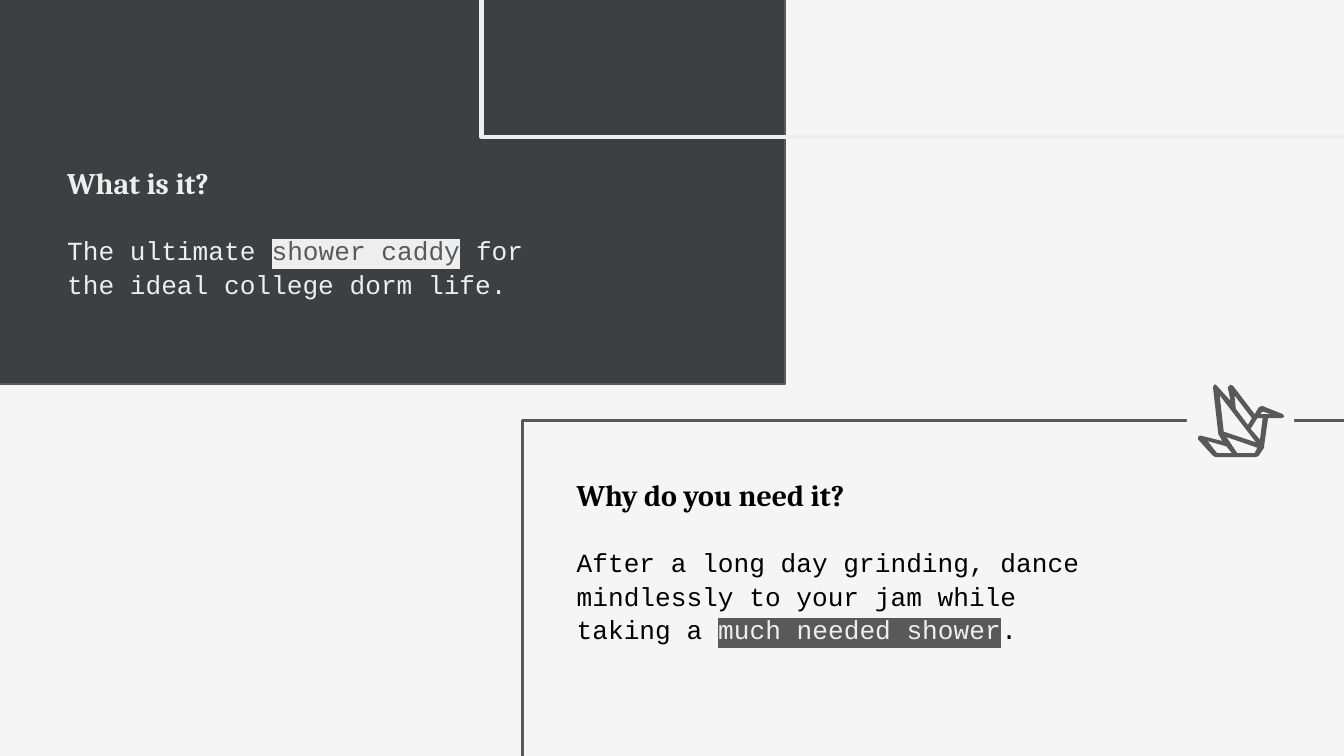
from lxml import etree
from pptx import Presentation
from pptx.dml.color import RGBColor
from pptx.enum.shapes import MSO_SHAPE
from pptx.enum.text import MSO_AUTO_SIZE, PP_ALIGN
from pptx.oxml.ns import qn
from pptx.util import Cm, Pt

RECTANGLE = MSO_SHAPE.RECTANGLE
FIT_SHAPE = MSO_AUTO_SIZE.SHAPE_TO_FIT_TEXT
LEFT = PP_ALIGN.LEFT

PAPER = RGBColor(0xF5, 0xF5, 0xF5)
LIGHT = RGBColor(0xEE, 0xEE, 0xEE)
GREY = RGBColor(0x59, 0x59, 0x59)
SLATE = RGBColor(0x3C, 0x40, 0x43)
BLACK = RGBColor(0, 0, 0)

HEADING_FONT = "Cambria"
BODY_FONT = "Courier New"

BIRD_SIZE = (65, 54)
BIRD_CONTOURS = [
    [(49, 20), (55, 22), (47, 22)],
    [(28, 8), (41, 25), (38, 30), (29, 18)],
    [(49, 25), (47, 41), (40, 33), (45, 25)],
    [(17, 8), (44, 43), (20, 35)],
    [(8, 42), (22, 46), (26, 51), (15, 51)],
    [(22, 39), (45, 47), (43, 51), (30, 51)],
    [(14, 0), (13, 0), (12, 2), (16, 37), (19, 42), (3, 38), (2, 38),
     (1, 39), (1, 41), (12, 53), (14, 54), (44, 54), (46, 53), (50, 47),
     (50, 46), (53, 25), (63, 25), (65, 24), (64, 22), (49, 16), (48, 16),
     (46, 17), (43, 22), (27, 1), (25, 0), (23, 2), (25, 12), (15, 1)],
]


def add_rectangle(slide, box, fill=None, line=None, width=0):
    """Add a rectangle with an optional fill and outline."""
    shape = slide.shapes.add_shape(RECTANGLE, *box)
    shape.shadow.inherit = False
    if fill is None:
        shape.fill.background()
    else:
        shape.fill.solid()
        shape.fill.fore_color.rgb = fill
    if line is None:
        shape.line.fill.background()
    else:
        shape.line.color.rgb = line
        shape.line.width = Pt(width)


def add_run(paragraph, text, font_name, size, color, bold=False, highlight=None):
    """Add one formatted run, highlighted if a colour is given."""
    run = paragraph.add_run()
    run.text = text
    font = run.font
    font.name, font.size, font.bold = font_name, Pt(size), bold
    font.color.rgb = color
    if highlight is not None:
        element = etree.Element(qn("a:highlight"))
        etree.SubElement(element, qn("a:srgbClr"), val=str(highlight))
        font.fill._xPr.find(qn("a:solidFill")).addnext(element)


def add_question(slide, box, heading, answer, color, marked_color, marker):
    """Add a heading and its answer, whose middle part is highlighted."""
    frame = slide.shapes.add_textbox(*box).text_frame
    frame.word_wrap = True
    frame.auto_size = FIT_SHAPE
    frame.margin_left = frame.margin_right = Cm(0.25)
    frame.margin_top = frame.margin_bottom = Cm(0.25)
    title, body = frame.paragraphs[0], frame.add_paragraph()
    for paragraph in (title, body):
        paragraph.alignment = LEFT
        paragraph.line_spacing = 1.07
    title.space_after = Pt(17)
    add_run(title, heading, HEADING_FONT, 16, color, bold=True)
    before, marked, after = answer
    add_run(body, before, BODY_FONT, 14, color)
    add_run(body, marked, BODY_FONT, 14, marked_color, highlight=marker)
    add_run(body, after, BODY_FONT, 14, color)


def add_why_panel(slide, left, top, width, height):
    """Add the outlined panel with the second question."""
    add_rectangle(slide, (left, top, width, height), line=GREY, width=1.5)
    text_box = (left + Cm(0.77), top + Cm(0.77), Cm(10.57), Cm(3.58))
    answer = ("After a long day grinding, dance mindlessly to your jam while taking a ",
              "much needed shower", ".")
    add_question(slide, text_box, "Why do you need it?", answer, BLACK, LIGHT, GREY)


def add_what_panel(slide, left, top, width, height):
    """Add the dark panel with the first question and its light frame."""
    add_rectangle(slide, (left, top, width, height), SLATE, GREY, 0.75)
    frame_box = (left + Cm(9.71), top - Cm(0.99), Cm(18.64), Cm(4.24))
    add_rectangle(slide, frame_box, line=LIGHT, width=2.25)
    text_box = (left + Cm(1.63), top + Cm(3.48), Cm(9.5), Cm(3))
    answer = ("The ultimate ", "shower caddy", " for the ideal college dorm life.")
    add_question(slide, text_box, "What is it?", answer, LIGHT, GREY, LIGHT)


def add_bird_badge(slide, left, top, width, height):
    """Add the folded bird on a patch that interrupts the panel outline."""
    add_rectangle(slide, (left, top, width, height), PAPER)
    scale = Cm(1.65) / BIRD_SIZE[0]
    builder = slide.shapes.build_freeform(*BIRD_CONTOURS[0][0], scale=scale)
    for contour in BIRD_CONTOURS:
        builder.move_to(*contour[0])
        builder.add_line_segments(contour[1:], close=True)
    bird = builder.convert_to_shape(left + Cm(0.19), top + Cm(0.46))
    bird.shadow.inherit = False
    bird.fill.solid()
    bird.fill.fore_color.rgb = GREY
    bird.line.fill.background()


def main():
    """Build the slide and save it."""
    presentation = Presentation()
    presentation.slide_width, presentation.slide_height = Cm(25.4), Cm(14.29)
    slide = presentation.slides.add_slide(presentation.slide_layouts[6])
    slide.background.fill.solid()
    slide.background.fill.fore_color.rgb = PAPER
    add_why_panel(slide, Cm(9.88), Cm(7.95), Cm(16.36), Cm(6.88))
    add_what_panel(slide, Cm(-0.61), Cm(-0.66), Cm(15.45), Cm(7.92))
    add_bird_badge(slide, Cm(22.43), Cm(6.81), Cm(2.03), Cm(1.9))
    presentation.save("out.pptx")


if __name__ == "__main__":
    main()
